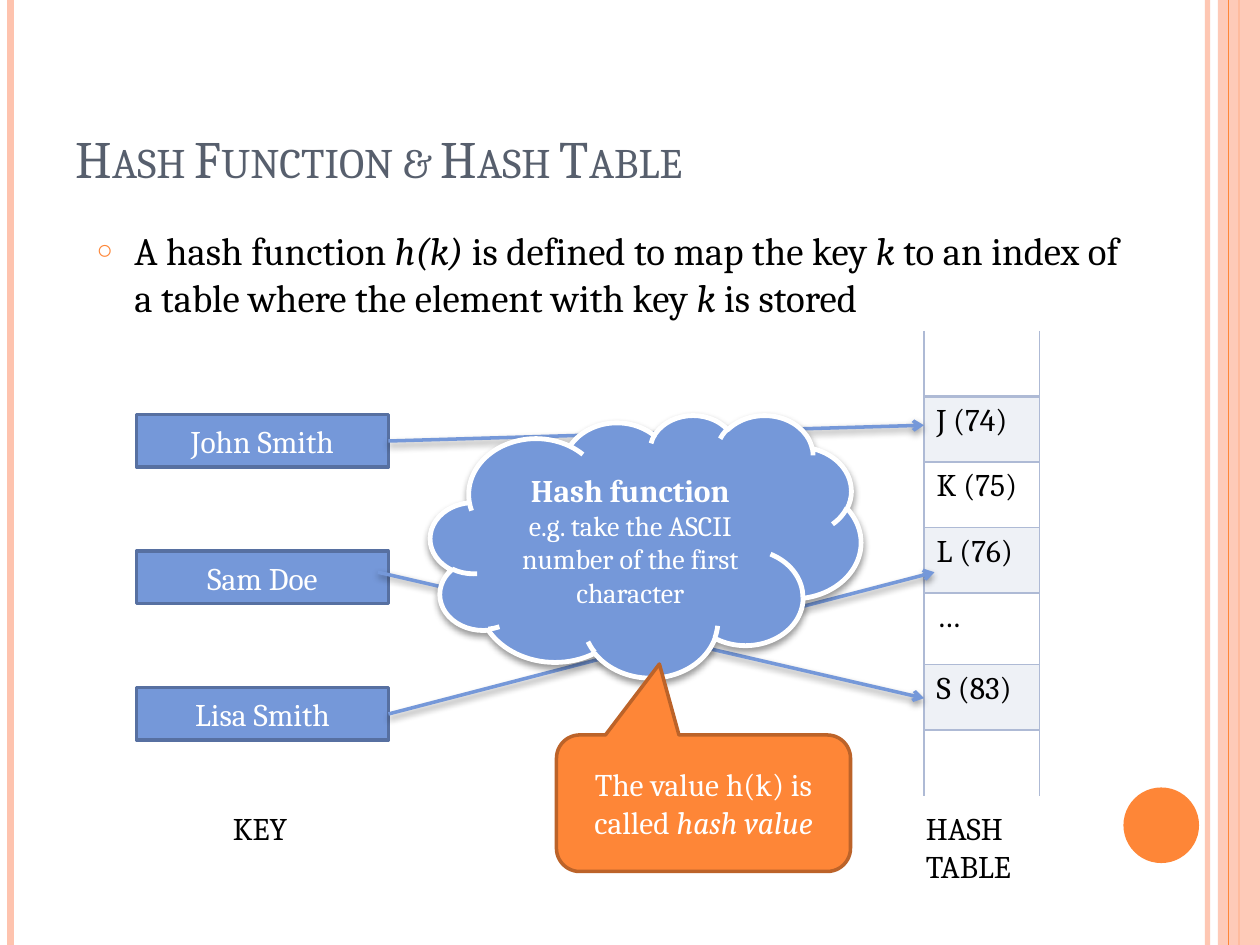
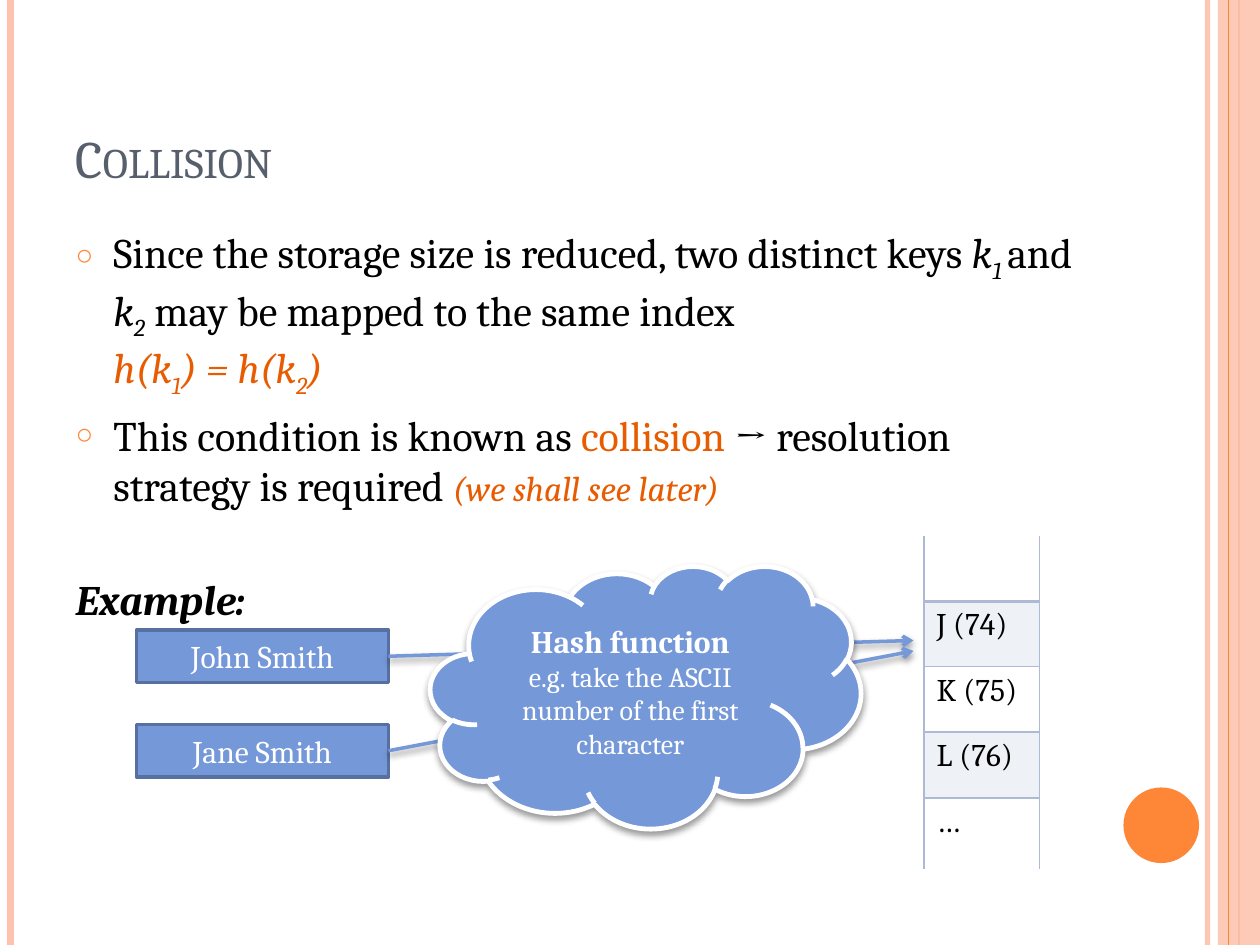
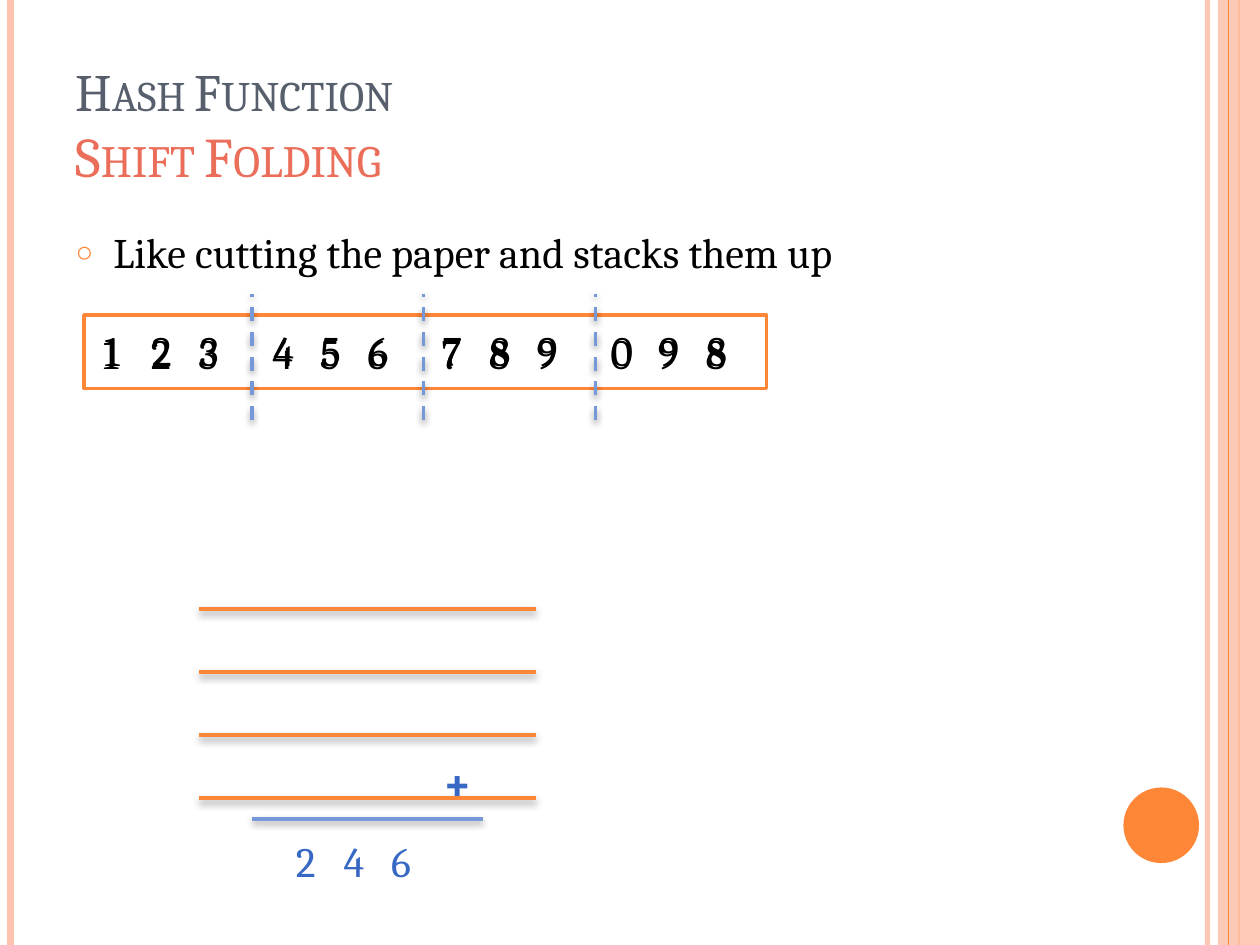
from lxml import etree
from pptx import Presentation
from pptx import util as u
from pptx.dml.color import RGBColor
from pptx.enum import dml, shapes, text
from pptx.oxml.ns import qn

FONT = "Cambria"
BLACK = RGBColor(0x00, 0x00, 0x00)
WHITE = RGBColor(0xFF, 0xFF, 0xFF)
SLATE = RGBColor(0x57, 0x5F, 0x6D)
PEACH = RGBColor(0xFE, 0xC3, 0xAE)
ORANGE = RGBColor(0xFE, 0x86, 0x37)
RUST = RGBColor(0xBC, 0x63, 0x29)
ACCENT = RGBColor(0xE7, 0x5C, 0x01)
CORAL = RGBColor(0xEB, 0x6E, 0x5A)
BLUE = RGBColor(0x75, 0x98, 0xD9)
NAVY = RGBColor(0x57, 0x70, 0xA1)
ROYAL = RGBColor(0x36, 0x68, 0xC4)
MIST = RGBColor(0xAE, 0xBA, 0xD5)

COLS, ROWS = 240, 180
BREAK = "\n"
ITALIC = {"italic": True}
SUB = {"italic": True, "base": -25}
FORMULA = {"italic": True, "color": ACCENT}
FORMULA_SUB = {**FORMULA, "base": -25}


def grid(*cells):
    """Turn grid cells of 1/24 inch into slide lengths."""
    return [u.Emu(round(c * u.Inches(10) / COLS)) for c in cells]


def child(parent, tag, **attrs):
    """Append a drawing element with its attributes."""
    el = etree.SubElement(parent, qn(tag))
    for name, value in attrs.items():
        el.set(name, str(value))
    return el


def set_alpha(parent, percent):
    """Make the colour found under an element partly transparent."""
    child(next(parent.iter(qn("a:srgbClr"))), "a:alpha", val=percent * 1000)


def add_shadow(effects):
    """Put the soft downward shadow in an effect list."""
    shadow = child(effects, "a:outerShdw", blurRad=u.Pt(4), dist=u.Pt(2),
                   dir=5400000, rotWithShape=0)
    child(shadow, "a:srgbClr", val=str(BLACK))
    set_alpha(shadow, 40)


def set_font(font, size=None, color=None, bold=None, italic=None):
    """Set the given font properties and leave the others."""
    if size:
        font.size = u.Pt(size)
    if color is not None:
        font.color.rgb = color
    if bold is not None:
        font.bold = bold
    if italic is not None:
        font.italic = italic


def write(p, runs, size=18, color=BLACK, bold=None, caps=False, align=None):
    """Fill a paragraph with plain strings and (string, format) runs."""
    p.font.name = FONT
    p.alignment = align
    set_font(p.font, size, color, bold)
    for item in [runs] if isinstance(runs, str) else runs:
        if item == BREAK:
            p.add_line_break()
            continue
        words, style = (item, {}) if isinstance(item, str) else item
        r = p.add_run()
        r.text = words
        set_font(r.font, **{k: v for k, v in style.items() if k != "base"})
        if "base" in style:
            r.font._element.set("baseline", str(style["base"] * 1000))
        if caps:
            r.font._element.set("cap", "small")


def add_box(parent, kind, box, fill, line=None, width=2, shadow=False):
    """Add a preset shape with its fill, outline and shadow."""
    s = parent.add_shape(kind, *grid(*box))
    s.fill.solid()
    s.fill.fore_color.rgb = fill
    if line is None:
        s.line.fill.background()
    else:
        s.line.color.rgb = line
        s.line.width = u.Pt(width)
    s.shadow.inherit = False
    if shadow:
        add_shadow(s.element.spPr.find(qn("a:effectLst")))
    s.text_frame.word_wrap = True
    s.text_frame.vertical_anchor = text.MSO_ANCHOR.MIDDLE
    return s


def add_line(parent, start, end, color, width=2, dash=None, arrow=False, shadow=True):
    """Add a straight line, dashed or with an arrowhead if asked."""
    c = parent.add_connector(shapes.MSO_CONNECTOR.STRAIGHT, *grid(*start, *end))
    c.line.color.rgb = color
    c.line.width = u.Pt(width)
    if dash:
        c.line.dash_style = dash
    spPr = c.element.spPr
    if arrow:
        child(spPr.find(qn("a:ln")), "a:tailEnd", type="arrow")
    effects = child(spPr, "a:effectLst")
    if shadow:
        add_shadow(effects)
    return c


def add_label(parent, box, lines, **style):
    """Add an unwrapped text box with one paragraph per line."""
    tf = parent.add_textbox(*grid(*box)).text_frame
    tf.word_wrap = False
    for i, line in enumerate(lines):
        write(tf.add_paragraph() if i else tf.paragraphs[0], line, **style)
    return tf


def add_digits(parent, left, top, digits, color=BLACK):
    """Add three digits spread over equal tab stops."""
    tf = add_label(parent, (left, top, 31.7, 12), ["\t".join(digits)], size=24, color=color)
    tf.word_wrap = True
    tabs = etree.Element(qn("a:tabLst"))
    for i in range(1, len(digits)):
        child(tabs, "a:tab", pos=u.Pt(27.2 * i), algn="l")
    tf.paragraphs[0].font._element.addprevious(tabs)


def decorate_master(prs, slide):
    """Draw the side bands and the disc and move them to the master."""
    sp = slide.shapes

    def band(col, color, width):
        return add_line(sp, (col, 0), (col, ROWS), color, width, shadow=False)

    edge = band(230, PEACH, 3)
    strip_left = band(2, PEACH, 4.5)
    inner = band(236, ORANGE, 1.5)
    strip = add_box(sp, shapes.MSO_SHAPE.RECTANGLE, (232, 0, 8, ROWS), PEACH)
    hairline = band(234, ORANGE, 0.75)
    disc = add_box(sp, shapes.MSO_SHAPE.OVAL, (214, 150, 14.4, 14.4), ORANGE)
    set_alpha(edge.element, 93)
    set_alpha(strip.element, 87)
    for i, part in enumerate((edge, strip_left, inner, strip, hairline, disc)):
        part.element.xpath(".//p:cNvPr")[0].set("id", str(100 + i))
        prs.slide_master.shapes.element.append(part.element)


def place(holder, box, anchor):
    """Move a placeholder and return its text frame."""
    holder.left, holder.top, holder.width, holder.height = grid(*box)
    tf = holder.text_frame
    tf.auto_size = text.MSO_AUTO_SIZE.NONE
    tf.word_wrap = True
    tf.vertical_anchor = anchor
    return tf


def add_title(slide, runs):
    """Set the small-caps title at the bottom of its box."""
    tf = place(slide.shapes.title, (12, 7.2, 196, 30), text.MSO_ANCHOR.BOTTOM)
    write(tf.paragraphs[0], runs, 30, SLATE, caps=True, align=text.PP_ALIGN.LEFT)


def add_body(slide, box, items, size=24):
    """Fill the body placeholder with ring bullets."""
    tf = place(slide.placeholders[1], box, text.MSO_ANCHOR.TOP)
    for i, runs in enumerate(items):
        p = tf.add_paragraph() if i else tf.paragraphs[0]
        p.space_before = u.Pt(6)
        pPr = p._p.get_or_add_pPr()
        pPr.set("marL", str(u.Inches(0.3)))
        pPr.set("indent", str(-u.Inches(0.3)))
        child(child(pPr, "a:buClr"), "a:srgbClr", val=str(ORANGE))
        child(pPr, "a:buSzPct", val=70000)
        child(pPr, "a:buChar", char="○")
        write(p, runs, size)
    return tf


def add_key(slide, top, name):
    """Add one key box."""
    s = add_box(slide.shapes, shapes.MSO_SHAPE.RECTANGLE, (26, top, 48, 10), BLUE, NAVY)
    write(s.text_frame.paragraphs[0], name, color=WHITE, align=text.PP_ALIGN.CENTER)
    return s


def add_hash_cloud(slide, top):
    """Add the cloud that stands for the hash function."""
    s = add_box(slide.shapes, shapes.MSO_SHAPE.CLOUD, (82, top, 82, 50), BLUE, WHITE, 2.75, True)
    tf = s.text_frame
    center = text.PP_ALIGN.CENTER
    write(tf.paragraphs[0], "Hash function", 18, WHITE, True, align=center)
    write(tf.add_paragraph(), "e.g. take the ASCII number of the first character",
          16, WHITE, align=center)


def set_border(cell, side, width):
    """Draw one cell border, or none for width zero."""
    ln = child(cell._tc.get_or_add_tcPr(), "a:ln" + side, w=u.Pt(width))
    if width:
        child(child(ln, "a:solidFill"), "a:srgbClr", val=str(MIST))
    else:
        child(ln, "a:noFill")


def add_hash_table(slide, top, entries):
    """Add the one-column hash table, open at its top and bottom."""
    heights = [13.6 if e == "…" else 12.5 for e in entries]
    frame = slide.shapes.add_table(len(entries), 1, *grid(176, top, 22, sum(heights)))
    table = frame.table
    table.first_row = table.horz_banding = False
    last = len(entries) - 1
    for i, (entry, height) in enumerate(zip(entries, heights)):
        table.rows[i].height = grid(height)[0]
        cell = table.cell(i, 0)
        widths = {"L": 1, "R": 1, "T": min(i, 1) + (i == 1),
                  "B": 0 if i == last else 1 + (i == 0)}
        for side, width in widths.items():
            set_border(cell, side, width)
        if i % 2 and entry:
            cell.fill.solid()
            cell.fill.fore_color.rgb = MIST
            set_alpha(cell._tc.tcPr.find(qn("a:solidFill")), 20)
        else:
            cell.fill.background()
        if entry:
            write(cell.text_frame.paragraphs[0], entry)


def add_mapping(slide, top, step, keys, table_top, entries, cloud_top):
    """Add keys, hash table, the arrows between them and the cloud."""
    boxes = [add_key(slide, top + i * step, name) for i, (name, _, _) in enumerate(keys)]
    add_hash_table(slide, table_top, entries)
    for i, (box, (_, start, end)) in enumerate(zip(boxes, keys)):
        arrow = add_line(slide.shapes, start or (74, top + i * step + 5), end, BLUE, arrow=True)
        if start is None:
            arrow.begin_connect(box, 3)
    add_hash_cloud(slide, cloud_top)


def fill_hash_table_slide(slide):
    """Build the slide on the hash function and the hash table."""
    add_title(slide, "Hash Function & Hash Table")
    add_body(slide, (16, 42, 204, 26), [[
        "A hash function ", ("h(k)", ITALIC), " is defined to map the key ", ("k", ITALIC),
        " to an index of a table where the element with key ", ("k", ITALIC), " is stored"]], 22.2)
    keys = [("John Smith", None, (176, 81)), ("Sam Doe", (72, 109), (176, 133)),
            ("Lisa Smith", None, (178, 109))]
    add_mapping(slide, 79, 26, keys, 63,
                ["", "J (74)", "K (75)", "L (76)", "…", "S (83)", ""], 79)
    add_label(slide.shapes, (42, 153, 18.2, 9.6), ["KEY"])
    add_label(slide.shapes, (174, 153, 26.2, 17), ["HASH", "TABLE"])
    callout = add_box(slide.shapes, shapes.MSO_SHAPE.ROUNDED_RECTANGULAR_CALLOUT,
                      (106, 140, 56, 26), ORANGE, RUST)
    for i, value in enumerate((-0.15, -1.02, 0.17)):
        callout.adjustments[i] = value
    write(callout.text_frame.paragraphs[0],
          ["The value h(k) is called ", ("hash value", ITALIC)],
          color=WHITE, align=text.PP_ALIGN.CENTER)


def fill_collision_slide(slide):
    """Build the slide on collisions."""
    add_title(slide, "Collision")
    tf = add_body(slide, (12, 42, 196, 74), [
        ["Since the storage size is reduced, two distinct keys ", ("k", ITALIC), ("1 ", SUB),
         "and ", ("k", ITALIC), ("2", SUB), " may be mapped to the same index", BREAK,
         ("h(k", FORMULA), ("1", FORMULA_SUB), (") = h(k", FORMULA), ("2", FORMULA_SUB),
         (")", FORMULA)],
        ["This condition is known as ", ("collision ", {"color": ACCENT}),
         "→ resolution strategy is required ",
         ("(we shall see later)", {**FORMULA, "size": 20})]])
    example = tf.add_paragraph()
    example.space_before = u.Pt(36)
    pPr = example._p.get_or_add_pPr()
    pPr.set("marL", "0")
    pPr.set("indent", "0")
    child(pPr, "a:buNone")
    write(example, [("Example:", ITALIC)], 24, bold=True)
    keys = [("John Smith", None, (174, 122)), ("Jane Smith", None, (174, 124))]
    add_mapping(slide, 120, 18, keys, 102, ["", "J (74)", "K (75)", "L (76)", "…"], 107.75)


def fill_folding_slide(slide):
    """Build the slide on shift folding."""
    add_title(slide, ["Hash Function", BREAK, ("Shift Folding", {"size": 32, "color": CORAL})])
    add_body(slide, (12, 42, 196, 12), ["Like cutting the paper and stacks them up"])
    sp = slide.shapes
    add_box(sp, shapes.MSO_SHAPE.RECTANGLE, (16, 60, 130, 14), WHITE, ORANGE)
    for left, top in ((17.3, 61.2), (17.5, 60.7)):
        for i, digits in enumerate(("123", "456", "789", "098")):
            add_digits(sp, left + 32.2 * i, top, digits)
    for i in range(4):
        add_line(sp, (102, 116 + 12 * i), (38, 116 + 12 * i), ORANGE)
    for i in range(3):
        col = 48 + 32.7 * i
        add_line(sp, (col, 80), (col, 56), BLUE, dash=dml.MSO_LINE.DASH)
    total = sp.add_group_shape().shapes
    add_line(total, (48, 156), (92, 156), BLUE)
    add_label(total, (82, 142, 10.6, 13.7), ["+"], size=28, color=ROYAL, bold=True)
    add_digits(sp, 54, 158, "246", ROYAL)


def main():
    """Build the three slides and save them."""
    prs = Presentation()
    prs.slide_width, prs.slide_height = grid(COLS, ROWS)
    fills = (fill_hash_table_slide, fill_collision_slide, fill_folding_slide)
    for i, fill in enumerate(fills):
        slide = prs.slides.add_slide(prs.slide_layouts[1])
        if i == 0:
            decorate_master(prs, slide)
        fill(slide)
    prs.save("out.pptx")


if __name__ == "__main__":
    main()
